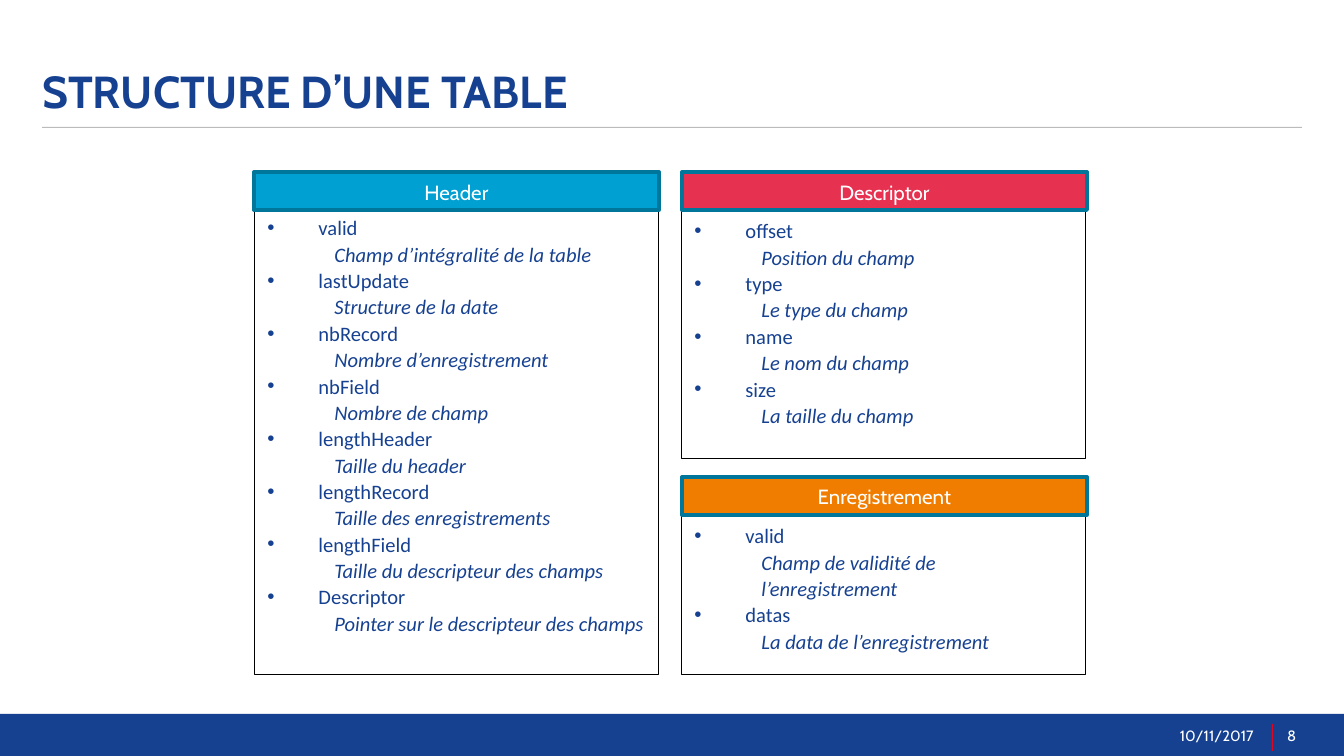
from lxml.etree import SubElement
from pptx import Presentation
from pptx.dml.color import RGBColor
from pptx.enum.shapes import MSO_SHAPE as Shape
from pptx.enum.text import MSO_ANCHOR as Anchor, MSO_AUTO_SIZE as AutoSize, PP_ALIGN as Align
from pptx.oxml.ns import qn
from pptx.util import Pt

EMU_PER_PX = 914400 / 134.4
COLORS = {
    "navy": "164191", "white": "FFFFFF", "black": "000000", "grey": "BBBBBB",
    "red": "E1051E", "cyan": "00A0D2", "pink": "E63250", "orange": "F07D00",
    "teal": "00769B",
}
CARD_WIDTH = 405
BAR_TOP, BAR_HEIGHT = 172, 38
LIST_INDENT, DETAIL_INDENT = 51, 67

HEADER = [
    ("valid", "Champ d’intégralité de la table"),
    ("lastUpdate", "Structure de la date"),
    ("nbRecord", "Nombre d’enregistrement"),
    ("nbField", "Nombre de champ"),
    ("lengthHeader", "Taille du header"),
    ("lengthRecord", "Taille des enregistrements"),
    ("lengthField", "Taille du descripteur des champs"),
    ("Descriptor", "Pointer sur le descripteur des champs"),
]
DESCRIPTOR = [
    ("offset", "Position du champ"),
    ("type", "Le type du champ"),
    ("name", "Le nom du champ"),
    ("size", "La taille du champ"),
]
RECORD = [
    ("valid", "Champ de validité de l’enregistrement"),
    ("datas", "La data de l’enregistrement"),
]

# placeholder idx, title, bar colour, bar left, bar top, list box, fields
CARDS = [
    (2, "Header", "cyan", 254, BAR_TOP, (254, 207, CARD_WIDTH, 468), HEADER),
    (4, "Descriptor", "pink", 682, BAR_TOP, (681, 210, CARD_WIDTH, 249), DESCRIPTOR),
    (1, "Enregistrement", "orange", 682, 477, (681, 515, CARD_WIDTH, 160), RECORD),
]


def px(length):
    return round(length * EMU_PER_PX)


def rgb(name):
    return RGBColor.from_string(COLORS[name])


def place(item, box):
    item.left, item.top, item.width, item.height = map(px, box)


def paint(item, fill, line=None, weight=0.5):
    item.fill.solid()
    item.fill.fore_color.rgb = rgb(fill)
    if line:
        item.line.color.rgb = rgb(line)
        item.line.width = Pt(weight)
    else:
        item.line.fill.background()


def write(paragraph, text, size=11, font="Cabin", color="white", bold=False,
          italic=False, align=Align.LEFT, spacing=1.0, after=0):
    paragraph.alignment = align
    paragraph.line_spacing = spacing
    paragraph.space_before = Pt(0)
    paragraph.space_after = Pt(after)
    run = paragraph.add_run()
    run.text = text
    run.font.size, run.font.name = Pt(size), font
    run.font.bold, run.font.italic = bold, italic
    run.font.color.rgb = rgb(color)


def set_bullet(paragraph, left, hanging=0, char=None):
    properties = paragraph._p.get_or_add_pPr()
    properties.set("marL", str(px(left)))
    properties.set("indent", str(-px(hanging)))
    if char:
        SubElement(properties, qn("a:buFont"), typeface="Arial")
        SubElement(properties, qn("a:buChar"), char=char)
    else:
        SubElement(properties, qn("a:buNone"))


def add_bar(slide, box, fill, line=None, weight=0.5):
    bar = slide.shapes.add_shape(Shape.RECTANGLE, *map(px, box))
    bar.shadow.inherit = False
    paint(bar, fill, line, weight)
    return bar


def add_title(slide, text):
    title = slide.shapes.title
    place(title, (42, 17, 1021, 101))
    frame = title.text_frame
    frame.auto_size = AutoSize.NONE
    frame.vertical_anchor = Anchor.BOTTOM
    frame.margin_left = frame.margin_bottom = 0
    write(frame.paragraphs[0], text, size=24, color="navy", bold=True)


def add_footer_text(slide, box, text, align):
    frame = slide.shapes.add_textbox(*map(px, box)).text_frame
    frame.word_wrap = True
    frame.vertical_anchor = Anchor.MIDDLE
    write(frame.paragraphs[0], text, size=8, align=align)


def fill_list(body, box, fields):
    place(body, box)
    paint(body, "white", "black")
    frame = body.text_frame
    frame.auto_size = AutoSize.NONE
    frame.word_wrap = True
    frame.vertical_anchor = Anchor.TOP
    for number, (field, detail) in enumerate(fields):
        name = frame.add_paragraph() if number else frame.paragraphs[0]
        write(name, field, font="Calibri", color="navy", spacing=1.07)
        set_bullet(name, LIST_INDENT, LIST_INDENT, "•")
        description = frame.add_paragraph()
        write(description, detail, font="Calibri", color="navy", italic=True, spacing=1.07)
        set_bullet(description, DETAIL_INDENT)


def add_card(slide, bodies, idx, heading, color, left, top, box, fields):
    fill_list(bodies[idx], box, fields)
    bar = add_bar(slide, (left, top, CARD_WIDTH, BAR_HEIGHT), color, "teal", 2)
    bar.text_frame.vertical_anchor = Anchor.MIDDLE
    write(bar.text_frame.paragraphs[0], heading, align=Align.CENTER, spacing=1.07, after=8)


def main():
    deck = Presentation()
    deck.slide_width, deck.slide_height = px(1344), px(756)
    slide = deck.slides.add_slide(deck.slide_layouts.get_by_name("Comparison"))
    bodies = {body.placeholder_format.idx: body for body in slide.placeholders}
    unused = bodies.pop(3)._element
    unused.getparent().remove(unused)

    # Title and its rule
    add_title(slide, "STRUCTURE D’UNE TABLE")
    add_bar(slide, (42, 127, 1260, 1), "grey")

    # Footer
    add_bar(slide, (0, 714, 1344, 42), "navy")
    add_bar(slide, (1272, 724, 1, 27), "red")
    add_footer_text(slide, (1110, 716, 157, 40), "10/11/2017", Align.RIGHT)
    add_footer_text(slide, (1274, 716, 70, 40), "8", Align.LEFT)

    # Table parts
    for card in CARDS:
        add_card(slide, bodies, *card)

    deck.save("out.pptx")


if __name__ == "__main__":
    main()
